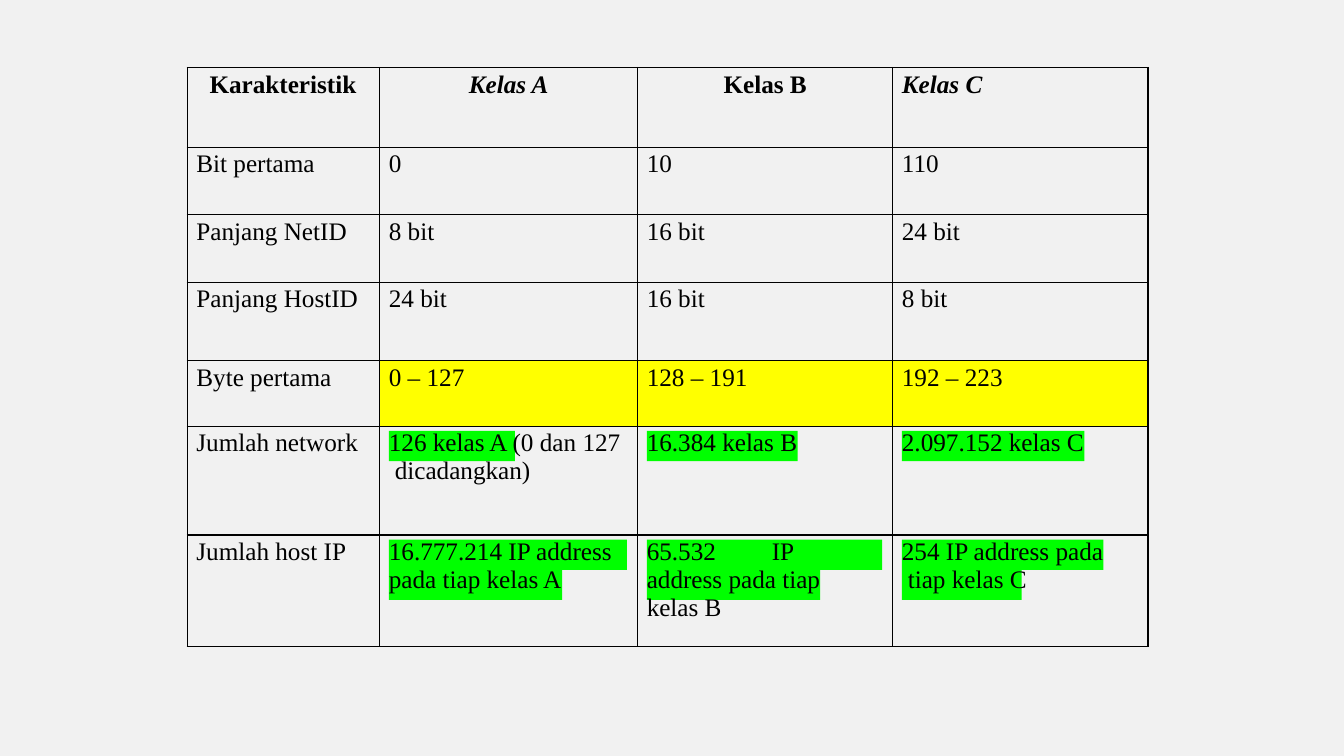
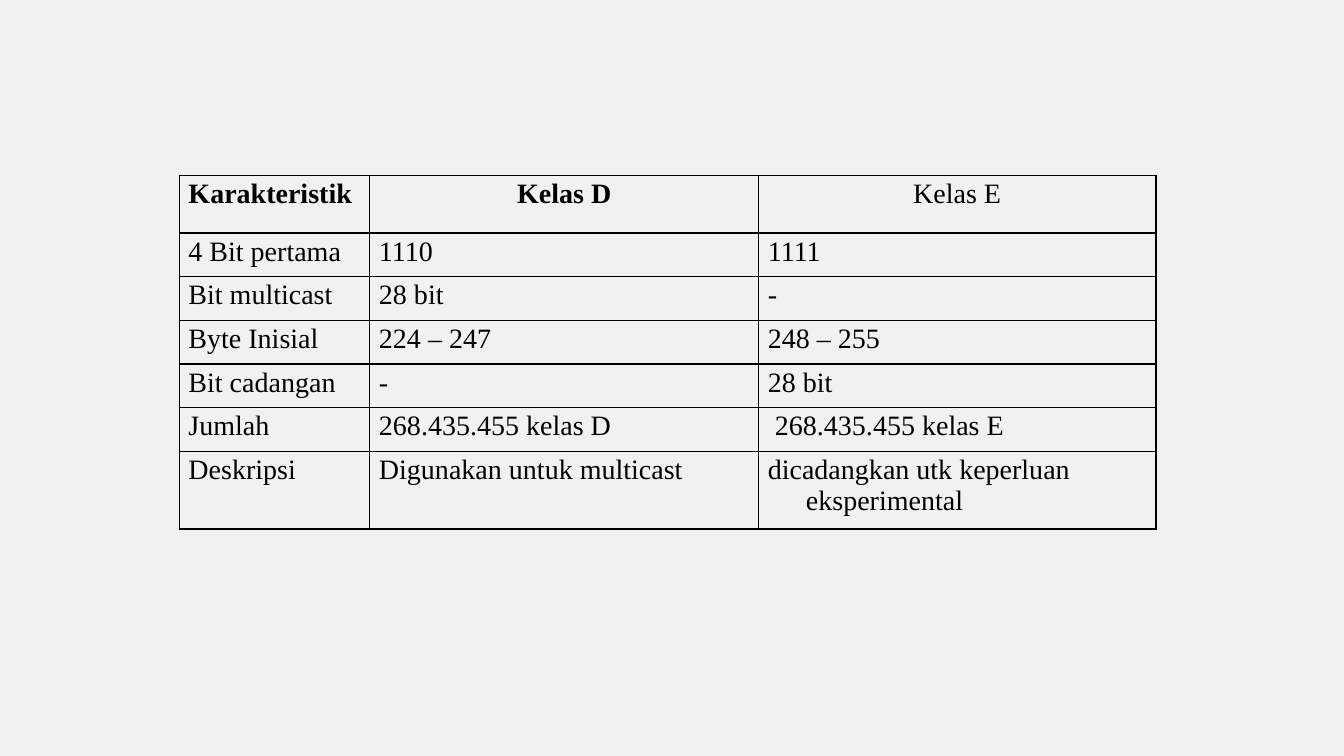
from itertools import product

from lxml.etree import SubElement as Sub
from pptx import Presentation
from pptx.dml.color import RGBColor as RGB
from pptx.enum.shapes import MSO_SHAPE as Shape
from pptx.enum.text import PP_ALIGN as Align
from pptx.oxml.ns import qn
from pptx.util import Cm, Pt

COLOURS = {"paper": "F1F1F1", "ink": "000000", "range": "FFFF00", "marker": "00FF00"}
FONT = "Times New Roman"
PLAIN_TABLE = "{2D5ABB26-0587-4C30-8999-92F81FD0307C}"
INDENT = 0.23  # cm, left edge of cell text
TEXT_TOP = 0.12  # cm, from row top to the first line
LINE_HEIGHT = 0.76  # cm, one marked line of text
MARGINS = {"margin_left": INDENT, "margin_right": 0, "margin_top": 0.08, "margin_bottom": 0}

BOLD = {"bold": True}
BOLD_ITALIC = {"bold": True, "italic": True}
CENTRE = {"alignment": Align.CENTER}
RIGHT = {"alignment": Align.RIGHT}


def entry(text, fill="paper", font=None, para=None, margins=None, hang=0, tab=0):
    """Describe one cell; lengths are in cm."""
    return {"text": text, "fill": fill, "font": font or {}, "para": para or {},
            "margins": margins or {}, "hang": hang, "tab": tab}


def filled(fill, *texts):
    return [entry(text, fill) for text in texts]


CLASSES_ABC = {
    "left": 4.72, "top": 1.7, "size": 18,
    "cols": [4.85, 6.5, 6.43, 6.43],
    "rows": [2.01, 1.7, 1.7, 1.98, 1.65, 2.74, 2.82],
    "cells": [
        [entry("Karakteristik", font=BOLD, margins={"margin_left": 0.56}),
         entry("Kelas A", font=BOLD_ITALIC, para=CENTRE, margins={"margin_left": 0}),
         entry("Kelas B", font=BOLD, para=CENTRE, margins={"margin_left": 0}),
         entry("Kelas C", font=BOLD_ITALIC)],
        filled("paper", "Bit pertama", "0", "10", "110"),
        filled("paper", "Panjang NetID", "8 bit", "16 bit", "24 bit"),
        filled("paper", "Panjang HostID", "24 bit", "16 bit", "8 bit"),
        [entry("Byte pertama"), *filled("range", "0 – 127", "128 – 191", "192 – 223")],
        [entry("Jumlah network"),
         entry("126 kelas A (0 dan 127\vdicadangkan)", None, hang=0.15),
         *filled(None, "16.384 kelas B", "2.097.152 kelas C")],
        [entry("Jumlah host IP"),
         entry("16.777.214 IP address\vpada tiap kelas A", None),
         entry("65.532\tIP\vaddress pada tiap\vkelas B", None, tab=3.15),
         entry("254 IP address pada\vtiap kelas C", None, hang=0.15)],
    ],
}

CLASSES_DE = {
    "left": 4.52, "top": 4.42, "size": 20,
    "cols": [4.8, 9.8, 10.01],
    "rows": [1.45, *[1.1] * 5, 1.96],
    "cells": [
        [entry("Karakteristik", font=BOLD),
         entry("Kelas D", font=BOLD, para=CENTRE, margins={"margin_left": 0}),
         entry("Kelas E", para=RIGHT, margins={"margin_right": 3.9})],
        filled("paper", "4 Bit pertama", "1110", "1111"),
        filled("paper", "Bit multicast", "28 bit", "-"),
        filled("paper", "Byte Inisial", "224 – 247", "248 – 255"),
        filled("paper", "Bit cadangan", "-", "28 bit"),
        [*filled("paper", "Jumlah", "268.435.455 kelas D"),
         entry("268.435.455 kelas E", para=RIGHT, margins={"margin_right": 3.83})],
        [*filled("paper", "Deskripsi", "Digunakan untuk multicast"),
         entry("dicadangkan utk keperluan\veksperimental", hang=0.96)],
    ],
}

# Marked line widths (cm) by (row, column)
MARKED_LINES = {
    (5, 1): [3.18], (5, 2): [3.8], (5, 3): [4.6],
    (6, 1): [6, 4.37], (6, 2): [5.93, 4.37], (6, 3): [5.08, 3.02],
}


def set_all(target, values):
    for name, value in values.items():
        setattr(target, name, value)


def add_marker(slide, left, top, widths):
    """Colour the area behind one or more lines of text."""
    if len(widths) == 1:
        marker = slide.shapes.add_shape(
            Shape.RECTANGLE, Cm(left), Cm(top), Cm(widths[0]), Cm(LINE_HEIGHT))
    else:
        outline = slide.shapes.build_freeform(Cm(left), Cm(top))
        steps = [(left + width, top + (line + edge) * LINE_HEIGHT)
                 for line, width in enumerate(widths) for edge in (0, 1)]
        steps.append((left, top + len(widths) * LINE_HEIGHT))
        outline.add_line_segments([(Cm(x), Cm(y)) for x, y in steps], close=True)
        marker = outline.convert_to_shape()
    marker.fill.solid()
    marker.fill.fore_color.rgb = RGB.from_string(COLOURS["marker"])
    marker.line.fill.background()
    marker.shadow.inherit = False


def add_markers(slide, grid):
    for (row, col), widths in MARKED_LINES.items():
        left = grid["left"] + sum(grid["cols"][:col]) + INDENT
        top = grid["top"] + sum(grid["rows"][:row]) + TEXT_TOP
        add_marker(slide, left, top, widths)


def add_borders(cell):
    props = cell._tc.get_or_add_tcPr()
    for side in ("a:lnL", "a:lnR", "a:lnT", "a:lnB"):
        line = Sub(props, qn(side), w=str(Pt(1)))
        Sub(Sub(line, qn("a:solidFill")), qn("a:srgbClr"), val=COLOURS["ink"])


def format_cell(cell, content, size):
    # Frame and fill
    margins = {**MARGINS, **content["margins"]}
    set_all(cell, {name: Cm(value) for name, value in margins.items()})
    add_borders(cell)
    if content["fill"]:
        cell.fill.solid()
        cell.fill.fore_color.rgb = RGB.from_string(COLOURS[content["fill"]])
    else:
        cell.fill.background()

    # Text
    para = cell.text_frame.paragraphs[0]
    para.text = content["text"]
    set_all(para, {"space_before": Pt(2.2), **content["para"]})
    for run in para.runs:
        set_all(run.font, {"name": FONT, "size": Pt(size), "bold": False, **content["font"]})
        run.font.color.rgb = RGB.from_string(COLOURS["ink"])

    # Hanging indent and tab stop
    para_props = para._p.get_or_add_pPr()
    if content["hang"]:
        para_props.set("marL", str(Cm(content["hang"])))
        para_props.set("indent", str(-Cm(content["hang"])))
    if content["tab"]:
        Sub(Sub(para_props, qn("a:tabLst")), qn("a:tab"),
            pos=str(Cm(content["tab"])), algn="l")


def add_class_table(slide, grid):
    cols, rows = grid["cols"], grid["rows"]
    frame = slide.shapes.add_table(
        len(rows), len(cols), Cm(grid["left"]), Cm(grid["top"]), Cm(sum(cols)), Cm(sum(rows)))
    next(frame.element.iter(qn("a:tableStyleId"))).text = PLAIN_TABLE
    table = frame.table
    set_all(table, {"first_row": False, "horz_banding": False})
    for column, width in zip(table.columns, cols):
        column.width = Cm(width)
    for row, height in zip(table.rows, rows):
        row.height = Cm(height)
    for r, c in product(range(len(rows)), range(len(cols))):
        format_cell(table.cell(r, c), grid["cells"][r][c], grid["size"])


def main():
    prs = Presentation()
    set_all(prs, {"slide_width": Cm(33.87), "slide_height": Cm(19.05)})
    backdrop = prs.slide_master.background.fill
    backdrop.solid()
    backdrop.fore_color.rgb = RGB.from_string(COLOURS["paper"])
    blank = prs.slide_layouts[6]

    # Classes A to C, with markers behind the clear cells
    slide = prs.slides.add_slide(blank)
    add_markers(slide, CLASSES_ABC)
    add_class_table(slide, CLASSES_ABC)

    # Classes D and E
    add_class_table(prs.slides.add_slide(blank), CLASSES_DE)

    prs.save("out.pptx")


if __name__ == "__main__":
    main()
